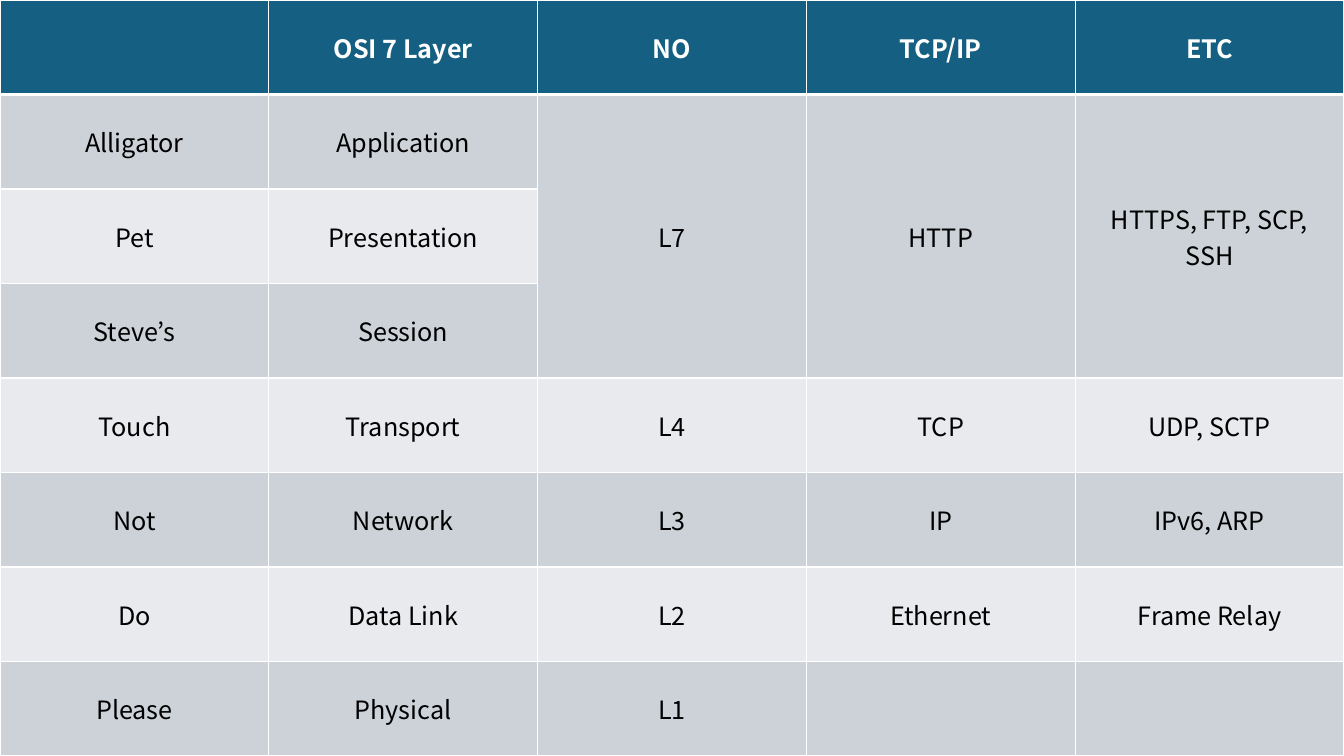
import pptx
import pptx.dml.color
import pptx.enum.text
import pptx.oxml
import pptx.oxml.ns
import pptx.util

Pt = pptx.util.Pt
PAGE_WIDTH, PAGE_HEIGHT = 960, 540

LAYERS = [
    ["", "OSI 7 Layer", "NO", "TCP/IP", "ETC"],
    ["Alligator", "Application", "L7", "HTTP", "HTTPS, FTP, SCP, SSH"],
    ["Pet", "Presentation", "", "", ""],
    ["Steve’s", "Session", "", "", ""],
    ["Touch", "Transport", "L4", "TCP", "UDP, SCTP"],
    ["Not", "Network", "L3", "IP", "IPv6, ARP"],
    ["Do", "Data Link", "L2", "Ethernet", "Frame Relay"],
    ["Please", "Physical", "L1", "", ""],
]
# First row, last row and columns of the cells that the upper layers share
MERGED_ROWS = (1, 3)
MERGED_COLUMNS = (2, 3, 4)


def color(value):
    return pptx.dml.color.RGBColor.from_string(value)


class LayerPage:
    font = "Noto Sans CJK KR"
    text_size = 18
    header_fill = "156082"
    band_fills = ("E8EAED", "CCD2D8")
    header_text = border = "FFFFFF"
    body_text = "000000"
    thin, thick = 1, 3

    def __init__(self, deck):
        self.page = deck.slides.add_slide(deck.slide_layouts[6])

    def add_table(self, rows, left, top, width, height):
        frame = self.page.shapes.add_table(
            len(rows), len(rows[0]), Pt(left), Pt(top), Pt(width), Pt(height))
        table = frame.table
        for column in table.columns:
            column.width = Pt(width / len(rows[0]))
        for row in table.rows:
            row.height = Pt(height / len(rows))
        for row_index, words in enumerate(rows):
            for column_index, text in enumerate(words):
                self.style_cell(table.cell(row_index, column_index), text, row_index)
        return table

    def style_cell(self, cell, text, row_index):
        is_header = row_index == 0
        self.add_borders(cell, row_index)
        cell.fill.solid()
        cell.fill.fore_color.rgb = color(
            self.header_fill if is_header else self.band_fills[row_index % 2])
        cell.vertical_anchor = pptx.enum.text.MSO_ANCHOR.MIDDLE
        cell.text_frame.text = text
        para = cell.text_frame.paragraphs[0]
        para.alignment = pptx.enum.text.PP_ALIGN.CENTER
        for span in para.runs:
            span.font.name = self.font
            span.font.size = Pt(self.text_size)
            span.font.bold = is_header
            span.font.color.rgb = color(
                self.header_text if is_header else self.body_text)

    def add_borders(self, cell, row_index):
        """Draw all four sides, with the thick rule between header and body."""
        widths = {
            "L": self.thin,
            "R": self.thin,
            "T": self.thick if row_index == 1 else self.thin,
            "B": self.thick if row_index == 0 else self.thin,
        }
        properties = cell._tc.get_or_add_tcPr()
        for side, width in widths.items():
            properties.append(pptx.oxml.parse_xml(
                f'<a:ln{side} {pptx.oxml.ns.nsdecls("a")} w="{Pt(width)}">'
                f'<a:solidFill><a:srgbClr val="{self.border}"/></a:solidFill>'
                f'</a:ln{side}>'))


def main():
    deck = pptx.Presentation()
    deck.slide_width, deck.slide_height = Pt(PAGE_WIDTH), Pt(PAGE_HEIGHT)
    layer_page = LayerPage(deck)
    table = layer_page.add_table(LAYERS, 0, 0, PAGE_WIDTH, PAGE_HEIGHT)
    first_row, last_row = MERGED_ROWS
    for column in MERGED_COLUMNS:
        table.cell(first_row, column).merge(table.cell(last_row, column))
    deck.save("out.pptx")


if __name__ == "__main__":
    main()
